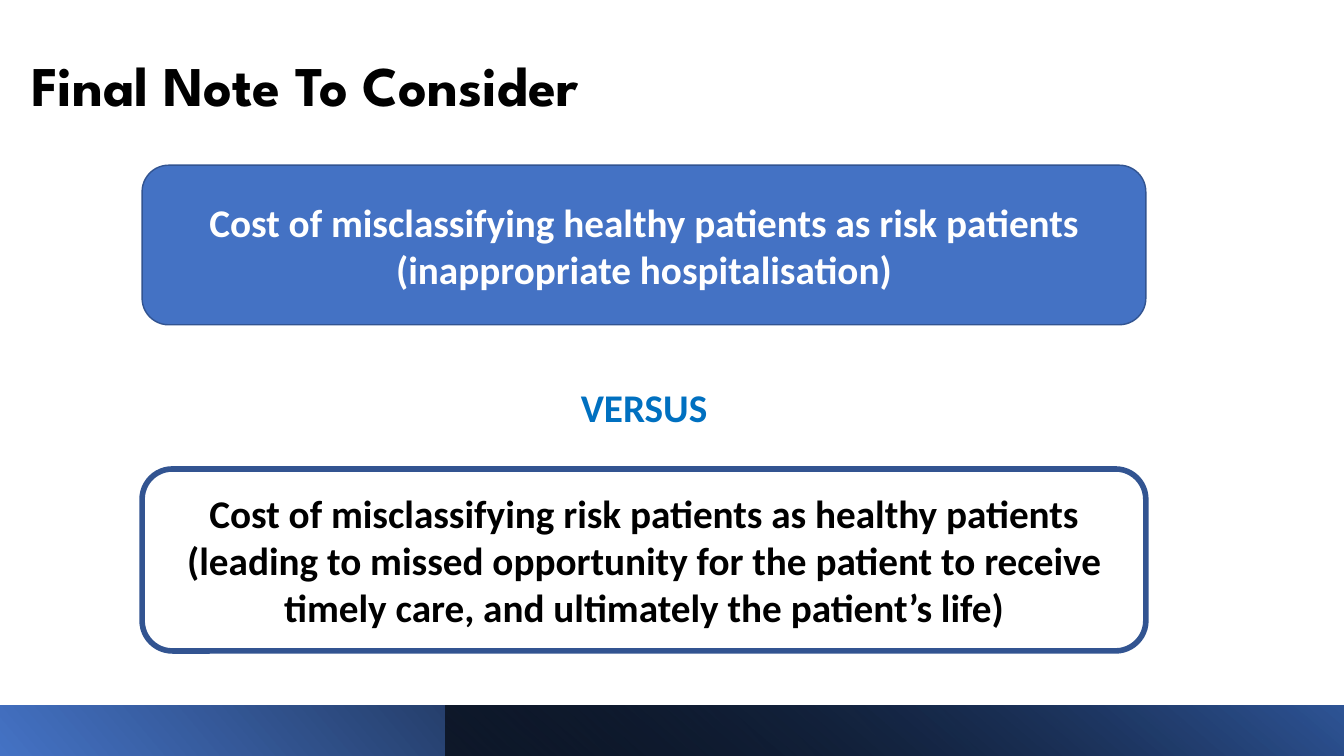
from lxml import etree
from pptx import Presentation
from pptx.dml.color import RGBColor
from pptx.enum.shapes import MSO_SHAPE
from pptx.enum.text import MSO_ANCHOR, MSO_AUTO_SIZE, PP_ALIGN
from pptx.oxml.ns import qn
from pptx.util import Pt

RECT, ROUND_RECT = MSO_SHAPE.RECTANGLE, MSO_SHAPE.ROUNDED_RECTANGLE
LEFT, CENTER = PP_ALIGN.LEFT, PP_ALIGN.CENTER
MIDDLE, BOTTOM = MSO_ANCHOR.MIDDLE, MSO_ANCHOR.BOTTOM
NO_AUTOFIT = MSO_AUTO_SIZE.NONE

SLIDE_W, SLIDE_H = 960, 540
FOOTER_H = 36
BLUE, BLACK, WHITE = "4472C4", "000000", "FFFFFF"
OUTLINE, ACCENT, NAVY = "325491", "0070C0", "2F5597"


def rgb(value):
    return RGBColor.from_string(value)


def write(tf, text, color, size=28, font="Calibri", align=CENTER, anchor=MIDDLE):
    tf.word_wrap = True
    tf.auto_size = NO_AUTOFIT
    tf.vertical_anchor = anchor
    p = tf.paragraphs[0]
    p.alignment = align
    r = p.add_run()
    r.text = text
    r.font.name = font
    r.font.size = Pt(size)
    r.font.bold = True
    r.font.color.rgb = rgb(color)
    return p


def add_title(s, box, text):
    sp = s.shapes.title
    sp.left, sp.top, sp.width, sp.height = map(Pt, box)
    p = write(sp.text_frame, text, BLACK, 40, "League Spartan", LEFT, BOTTOM)
    p.line_spacing = 0.9


def add_card(s, box, text, color, line_width, fill=None):
    sp = s.shapes.add_shape(ROUND_RECT, *map(Pt, box))
    sp.shadow.inherit = False
    if fill:
        sp.fill.solid()
        sp.fill.fore_color.rgb = rgb(fill)
    else:
        sp.fill.background()
    sp.line.color.rgb = rgb(OUTLINE)
    sp.line.width = Pt(line_width)
    write(sp.text_frame, text, color)


def add_label(s, box, text):
    sp = s.shapes.add_textbox(*map(Pt, box))
    write(sp.text_frame, text, ACCENT)


def add_gradient_bar(s, box, stops, angle, rotation=0):
    """Add a mirrored bar; stops are (position, colour), angle is clockwise."""
    sp = s.shapes.add_shape(RECT, *map(Pt, box))
    sp.shadow.inherit = False
    sp.line.fill.background()
    sp.rotation = rotation
    sp._element.spPr.find(qn("a:xfrm")).set("flipH", "1")
    sp.fill.gradient()
    sp.fill.gradient_angle = 360 - angle
    for stop, (position, color) in zip(sp.fill.gradient_stops, stops):
        stop.position = position
        stop.color.rgb = rgb(color)
    return sp


def add_footer(s, box):
    x, y, w, h = box
    add_gradient_bar(s, box, [(0, BLUE), (0.78, BLACK)], 40, 180)
    shade_x = 318
    shade = add_gradient_bar(s, (x + shade_x, y, w - shade_x, h),
                             [(0, BLACK), (1, NAVY)], 230)
    first_color = next(shade._element.spPr.iter(qn("a:srgbClr")))
    etree.SubElement(first_color, qn("a:alpha")).set("val", "63000")


def add_comparison(s, box):
    x, y, w, h = box
    top_h, bottom_h = 114, 130
    label_w, label_h = 137, 41
    add_card(s, (x, y, w, top_h),
             "Cost of misclassifying healthy patients as risk patients "
             "(inappropriate hospitalisation)", WHITE, 1, BLUE)
    add_label(s, (x + (w - label_w) / 2, y + 152, label_w, label_h), "VERSUS")
    add_card(s, (x, y + h - bottom_h, w, bottom_h),
             "Cost of misclassifying risk patients as healthy patients "
             "(leading to missed opportunity for the patient to receive "
             "timely care, and ultimately the patient’s life)", BLACK, 4)


def main():
    prs = Presentation()
    prs.slide_width, prs.slide_height = Pt(SLIDE_W), Pt(SLIDE_H)
    s = prs.slides.add_slide(prs.slide_layouts[5])
    add_title(s, (15, 10, 935, 78.5), "Final Note To Consider")
    add_footer(s, (0, SLIDE_H - FOOTER_H, SLIDE_W, FOOTER_H))
    add_comparison(s, (101.5, 118, 717, 347))
    prs.save("out.pptx")


if __name__ == "__main__":
    main()
